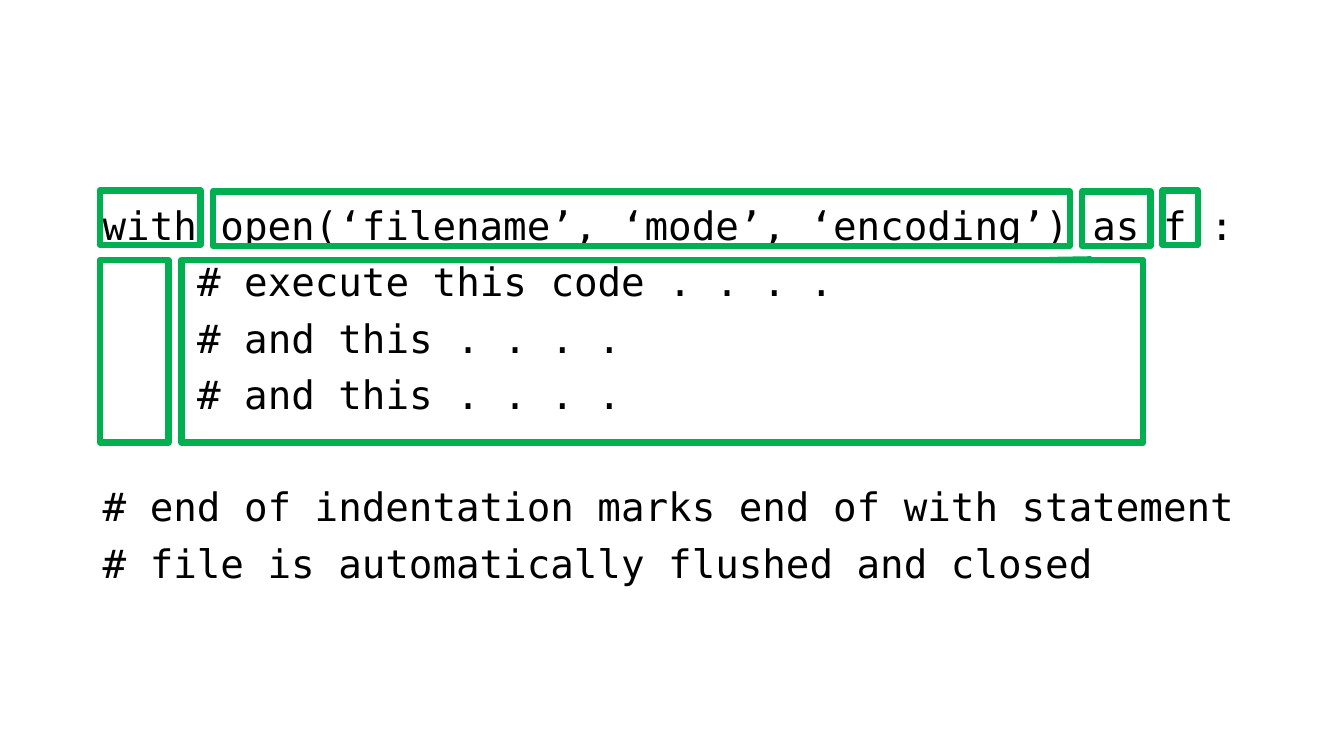
"""Builds a slide that marks the parts of Python's with statement."""
from pptx import Presentation
from pptx.dml.color import RGBColor
from pptx.enum.shapes import MSO_SHAPE
from pptx.enum.text import MSO_ANCHOR
from pptx.util import Inches, Pt

GREEN = RGBColor(0x00, 0xB0, 0x50)
BLACK = RGBColor(0x00, 0x00, 0x00)

CODE = [
    ("with open(‘filename’, ‘mode’, ‘encoding’) as f :", 0, 10),
    ("# execute this code . . . .", 4, 10),
    ("# and this . . . .", 4, 10),
    ("# and this . . . .", 4, 10),
    ("# end of indentation marks end of with statement", 0, 50),
    ("# file is automatically flushed and closed", 0, 10),
]
BLOCK_TOP, BLOCK_HEIGHT = 34.4, 24.13
BLOCK_PARTS = [
    (7.43, 5.1, (0.006, 0.97, 0.003, 0.995)),
    (13.5, 71.57, (-0.004, 0.946, 0, 0.902)),
]
HEADER_HEIGHT = 7.2
HEADER_PARTS = [
    (7.43, 25.2, 7.5),
    (15.83, 25.33, 63.77),
    (80.5, 25.33, 5.1),
    (86.5, 25.2, 2.63),
]


class CodeSlide:
    """Holds the style and the slide; places are percentages of its size."""

    font = "DejaVu Sans Mono"
    size = 28
    char_width = 0.602 * size

    def __init__(self, deck):
        self.width, self.height = deck.slide_width, deck.slide_height
        self.slide = deck.slides.add_slide(deck.slide_layouts[6])

    def place(self, left, top, width, height):
        """Turns percentages into lengths."""
        return (
            int(self.width * left / 100),
            int(self.height * top / 100),
            int(self.width * width / 100),
            int(self.height * height / 100),
        )

    def code(self, lines, *area):
        """Adds lines given as wording, indent in characters, space before."""
        frame = self.slide.shapes.add_textbox(*self.place(*area)).text_frame
        frame.word_wrap = True
        frame.vertical_anchor = MSO_ANCHOR.TOP
        for number, (wording, indent, space) in enumerate(lines):
            line = frame.add_paragraph() if number else frame.paragraphs[0]
            line.line_spacing = 0.9
            line.space_before = Pt(space)
            line._p.get_or_add_pPr().set("marL", str(int(Pt(indent * self.char_width))))
            run = line.add_run()
            run.text = wording
            run.font.name = self.font
            run.font.size = Pt(self.size)
            run.font.color.rgb = BLACK

    def outline(self, kind, area, adjustments=()):
        """Adds an unfilled green outline."""
        marker = self.slide.shapes.add_shape(kind, *self.place(*area))
        marker.shadow.inherit = False
        marker.fill.background()
        marker.line.color.rgb = GREEN
        marker.line.width = Pt(4.5)
        for index, value in enumerate(adjustments):
            marker.adjustments[index] = value


def main():
    """Builds and saves the slide."""
    deck = Presentation()
    deck.slide_width, deck.slide_height = Inches(13.33), Inches(7.5)
    statement = CodeSlide(deck)
    statement.code(CODE, 6.9, 26.67, 86.27, 63.47)
    for left, width, callout in BLOCK_PARTS:
        statement.outline(
            MSO_SHAPE.LINE_CALLOUT_1, (left, BLOCK_TOP, width, BLOCK_HEIGHT), callout
        )
    for left, top, width in HEADER_PARTS:
        statement.outline(MSO_SHAPE.RECTANGLE, (left, top, width, HEADER_HEIGHT))
    deck.save("out.pptx")


if __name__ == "__main__":
    main()
